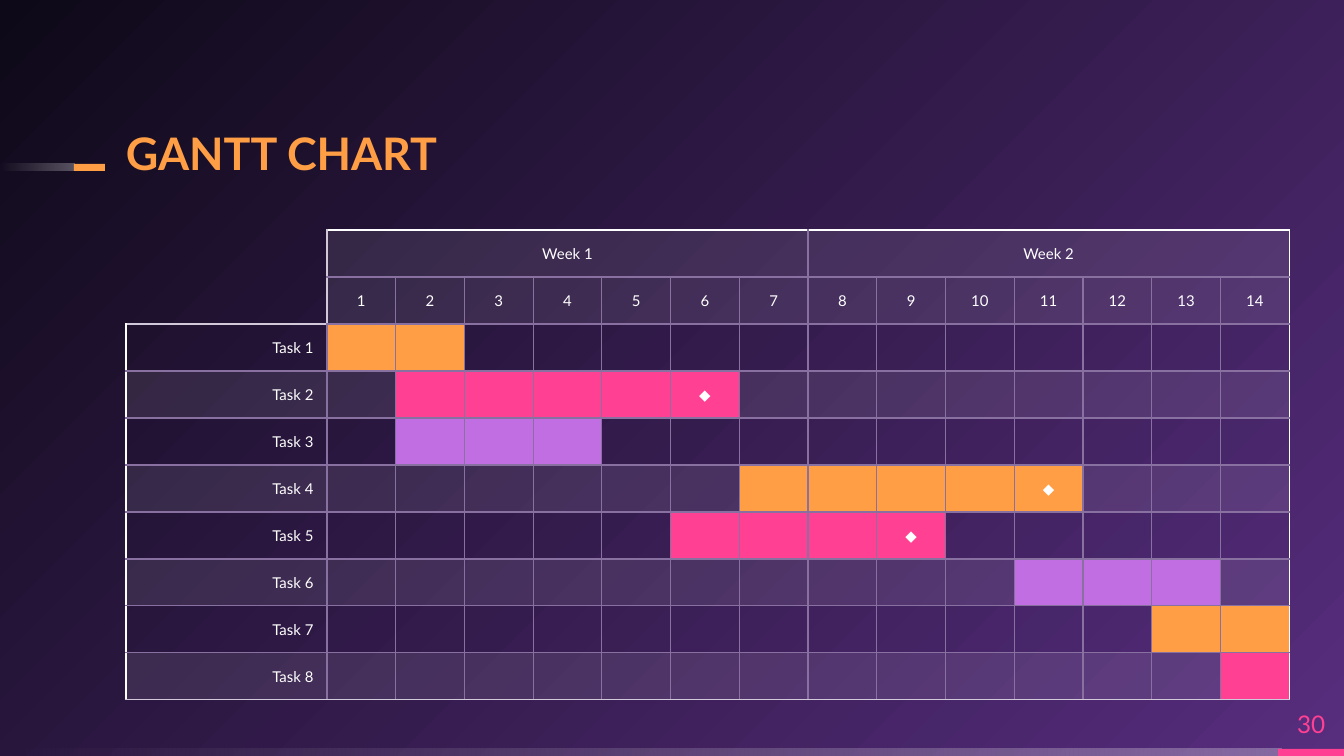
from dataclasses import dataclass
from typing import Optional

from lxml import etree
from pptx import Presentation
from pptx import util as u
from pptx.dml import color
from pptx.enum import shapes, text
from pptx.oxml import ns

EMU_PER_PX = 9144000 / 1344
PAGE_W, PAGE_H = 1344, 756
FONT = "Lato"
COLORS = {
    "orange": "FF9E44",
    "pink": "FF4093",
    "purple": "C06EE2",
    "white": "FFFFFF",
    "grid": "8870A0",
    "frame": "D1C8DA",
    "glow": "572D7E",
    "night": "0E0918",
}
NO_STYLE = "{2D5ABB26-0587-4C30-8999-92F81FD0307C}"
TABLE_X, TABLE_Y, LABEL_W, DAYS_W, ROW_H = 126, 230, 201, 963, 47
DAYS, WEEK, HEADER_ROWS = 14, 7, 2
BAND_ALPHA = 9


@dataclass
class Bar:
    x: int
    y: int
    w: int
    h: int
    color: Optional[str] = None


@dataclass
class Task:
    name: str
    start: int
    end: int
    color: str
    milestone: bool = False


BARS = [
    Bar(0, 749, 1282, 7),
    Bar(1278, 749, 66, 7, "pink"),
    Bar(0, 164, 75, 7),
    Bar(74, 164, 31, 7, "orange"),
]
TASKS = [
    Task("Task 1", 1, 2, "orange"),
    Task("Task 2", 2, 6, "pink", True),
    Task("Task 3", 2, 4, "purple"),
    Task("Task 4", 7, 11, "orange", True),
    Task("Task 5", 6, 9, "pink", True),
    Task("Task 6", 11, 13, "purple"),
    Task("Task 7", 13, 14, "orange"),
    Task("Task 8", 14, 14, "pink"),
]
LAST_ROW = HEADER_ROWS + len(TASKS) - 1


def px(value: float) -> u.Emu:
    return u.Emu(round(value * EMU_PER_PX))


def rgb(name: str) -> color.RGBColor:
    return color.RGBColor.from_string(COLORS[name])


def add_color(parent, name: str, alpha: int = 100) -> None:
    node = etree.SubElement(parent, ns.qn("a:srgbClr"), val=COLORS[name])
    if alpha < 100:
        etree.SubElement(node, ns.qn("a:alpha"), val=str(alpha * 1000))


def set_gradient(fill, owner, stops: list, circle: bool = False) -> None:
    fill.gradient()
    grad = owner.find(".//" + ns.qn("a:gradFill"))
    for child in list(grad):
        grad.remove(child)
    stop_list = etree.SubElement(grad, ns.qn("a:gsLst"))
    for position, name, alpha in stops:
        stop = etree.SubElement(stop_list, ns.qn("a:gs"), pos=str(position * 1000))
        add_color(stop, name, alpha)
    if circle:
        route = etree.SubElement(grad, ns.qn("a:path"), {"path": "circle"})
        etree.SubElement(route, ns.qn("a:fillToRect"), l="100000", t="100000")
    else:
        etree.SubElement(grad, ns.qn("a:lin"), ang="10800000", scaled="0")


def draw_bar(page, bar: Bar) -> None:
    box = page.shapes.add_shape(
        shapes.MSO_SHAPE.RECTANGLE, px(bar.x), px(bar.y), px(bar.w), px(bar.h)
    )
    box.shadow.inherit = False
    box.line.fill.background()
    if bar.color:
        box.fill.solid()
        box.fill.fore_color.rgb = rgb(bar.color)
    else:
        set_gradient(box.fill, box._element.spPr, [(0, "white", 29), (100, "white", 0)])


def add_span(para, words: str, size: int, name: str, bold: bool = False) -> None:
    span = para.add_run()
    span.text = words
    span.font.name = FONT
    span.font.size = u.Pt(size)
    span.font.bold = bold
    span.font.color.rgb = rgb(name)


def set_frame(box, anchor) -> None:
    frame = box.text_frame
    frame.margin_left = frame.margin_top = frame.margin_right = frame.margin_bottom = 0
    frame.word_wrap = True
    frame.auto_size = text.MSO_AUTO_SIZE.NONE
    frame.vertical_anchor = anchor


def draw_title(page) -> None:
    box = page.shapes.title
    box.left, box.top, box.width, box.height = px(126), px(122), px(780), px(58)
    set_frame(box, text.MSO_ANCHOR.BOTTOM)
    para = box.text_frame.paragraphs[0]
    para.alignment = text.PP_ALIGN.LEFT
    para.line_spacing = 0.9
    add_span(para, "GANTT CHART", 24, "orange", True)


def draw_page_number(page) -> None:
    box = page.shapes.add_textbox(px(1278), px(698), px(66), px(51))
    set_frame(box, text.MSO_ANCHOR.MIDDLE)
    para = box.text_frame.paragraphs[0]
    para.alignment = text.PP_ALIGN.CENTER
    add_span(para, "30", 13, "pink")


def edge_colors(row: int, first: int, last: int) -> dict:
    if first == 0 and row < HEADER_ROWS:
        bottom = "frame" if row == HEADER_ROWS - 1 else None
        return {"lnL": None, "lnR": "frame", "lnT": None, "lnB": bottom}
    left = "white" if first == 0 else "grid"
    if first == 1 and row < HEADER_ROWS:
        left = "frame"
    top = "white" if row == 0 else "grid"
    if first == 0 and row == HEADER_ROWS:
        top = "frame"
    return {
        "lnL": left,
        "lnR": "white" if last == DAYS else "grid",
        "lnT": top,
        "lnB": "frame" if row == LAST_ROW else "grid",
    }


def format_cell(cell, edges: dict, fill: Optional[str], words: str, align) -> None:
    props = cell._tc.get_or_add_tcPr()
    for tag, name in edges.items():
        line = etree.SubElement(props, ns.qn("a:" + tag), w=str(u.Pt(0.75)))
        paint = etree.SubElement(line, ns.qn("a:solidFill" if name else "a:noFill"))
        if name:
            add_color(paint, name)
    if fill:
        paint = etree.SubElement(props, ns.qn("a:solidFill"))
        add_color(paint, fill, BAND_ALPHA if fill == "white" else 100)
    else:
        cell.fill.background()
    cell.vertical_anchor = text.MSO_ANCHOR.MIDDLE
    para = cell.text_frame.paragraphs[0]
    para.alignment = align
    if words:
        add_span(para, words, 8, "white")
    else:
        para._p.get_or_add_endParaRPr().set("sz", "800")


def cell_content(row: int, col: int) -> tuple:
    if row < HEADER_ROWS:
        if col == 0:
            return None, ""
        return "white", str(col) if row else f"Week {col // WEEK + 1}"
    task = TASKS[row - HEADER_ROWS]
    band = "white" if row % 2 else None
    if col == 0:
        return band, task.name
    fill = task.color if task.start <= col <= task.end else band
    return fill, "◆" if task.milestone and col == task.end else ""


def draw_gantt(page) -> None:
    rows = LAST_ROW + 1
    table = page.shapes.add_table(
        rows, DAYS + 1, px(TABLE_X), px(TABLE_Y), px(LABEL_W + DAYS_W), px(rows * ROW_H)
    ).table
    table.first_row = table.horz_banding = False
    table._tbl.tblPr.find(ns.qn("a:tableStyleId")).text = NO_STYLE
    for col, column in enumerate(table.columns):
        column.width = px(DAYS_W / DAYS if col else LABEL_W)
    for line in table.rows:
        line.height = px(ROW_H)
    for first in range(1, DAYS, WEEK):
        table.cell(0, first).merge(table.cell(0, first + WEEK - 1))
    for row in range(rows):
        for col in range(DAYS + 1):
            cell = table.cell(row, col)
            if cell.is_spanned:
                continue
            last = col + cell.span_width - 1 if cell.is_merge_origin else col
            align = text.PP_ALIGN.CENTER if col else text.PP_ALIGN.RIGHT
            format_cell(cell, edge_colors(row, col, last), *cell_content(row, col), align)


def main() -> None:
    deck = Presentation()
    deck.slide_width, deck.slide_height = px(PAGE_W), px(PAGE_H)
    page = deck.slides.add_slide(deck.slide_layouts[5])
    set_gradient(page.background.fill, page._element, [(0, "glow", 100), (100, "night", 100)], True)
    for bar in BARS:
        draw_bar(page, bar)
    draw_title(page)
    draw_page_number(page)
    draw_gantt(page)
    deck.save("out.pptx")


if __name__ == "__main__":
    main()
